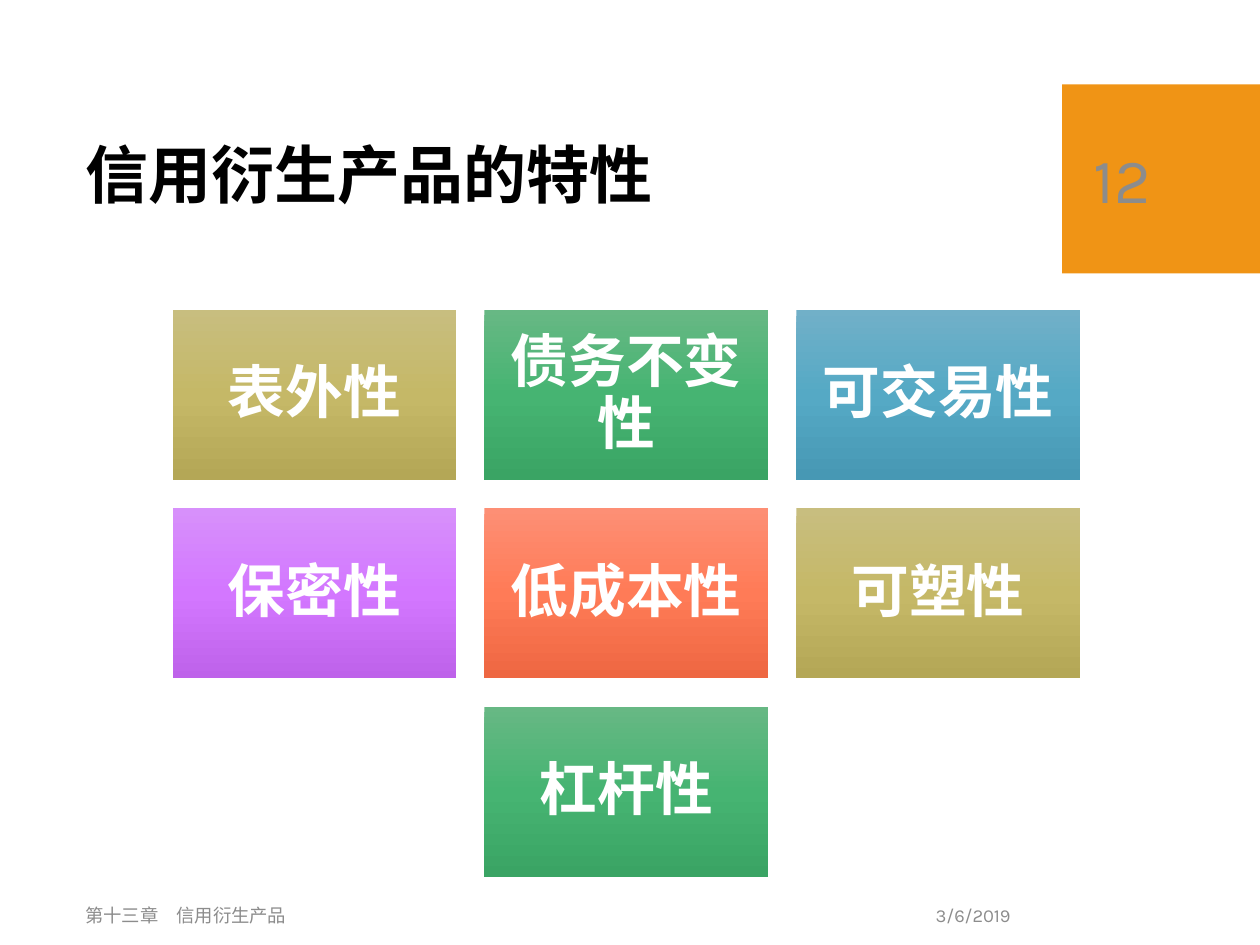
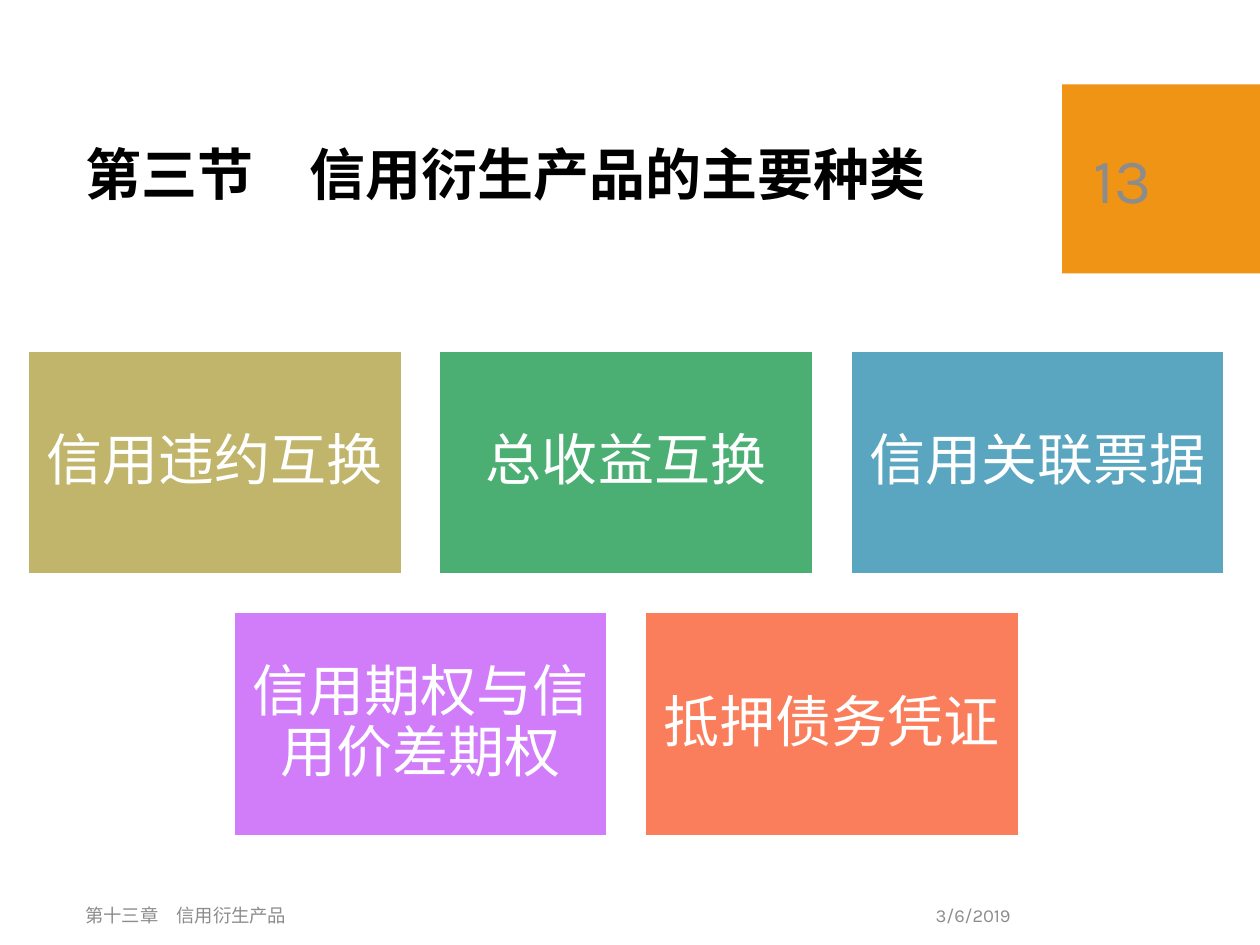
from copy import deepcopy
from pptx import Presentation
from pptx.dml.color import RGBColor
from pptx.enum import shapes, text
from pptx.oxml.ns import qn
from pptx.util import Inches, Pt

FONT = "Karla"
BLACK, WHITE, GREY, ORANGE = "000000", "FFFFFF", "8C8C8C", "F09415"
FOOTER = "第十三章　信用衍生产品"
DATE = "3/6/2019"
TITLE_BOX = (0.58, 0.82, 7.54, 1.18)
BAND_BOX = (8.43, 0.67, 1.57, 1.5)
NUMBER_BOX = (8.58, 0.82, 1.27, 1.19)
DATE_BOX = (5.87, 7.06, 2.25, 0.4)
FOOTER_BOX = (0.58, 7.06, 5.29, 0.4)
GRID_CENTRE = 4.97

GRADIENTS = [
    ("C8BE7F", "C5B867", "B4A756"),
    ("67B884", "46B472", "3AA464"),
    ("71B0C8", "55A9C5", "4798B4"),
    ("D790FB", "D377FF", "BE62EA"),
    ("FD8F75", "FF7B57", "EE6742"),
]
SOLIDS = [("C1B56B",), ("4BAF73",), ("5AA6C0",), ("D17DF9",), ("FA7E5C",)]

SLIDES = [
    {
        "title": "信用衍生产品的特性", "title_size": 36, "number": "12",
        "rows": [["表外性", "债务不变性", "可交易性"],
                 ["保密性", "低成本性", "可塑性"],
                 ["杠杆性"]],
        "fills": GRADIENTS, "line": None,
        "tile": (2.25, 1.35), "gap": 0.225, "top": 2.46, "inset": 0.14,
        "font": {"size": Pt(33), "bold": True},
    },
    {
        "title": "第三节　信用衍生产品的主要种类", "title_size": 32, "number": "13",
        "rows": [["信用违约互换", "总收益互换", "信用关联票据"],
                 ["信用期权与信用价差期权", "抵押债务凭证"]],
        "fills": SOLIDS, "line": WHITE,
        "tile": (2.97, 1.78), "gap": 0.295, "top": 2.78, "inset": 0.13,
        "font": {"size": Pt(32), "bold": False},
    },
]


def colour(value):
    return RGBColor.from_string(value)


def write(shape, words, ink, font, align=text.PP_ALIGN.LEFT, spacing=1.0, inset=None):
    frame = shape.text_frame
    frame.text = words
    frame_format = {"word_wrap": True, "auto_size": text.MSO_AUTO_SIZE.NONE,
                    "vertical_anchor": text.MSO_ANCHOR.MIDDLE}
    if inset is not None:
        for side in ("left", "top", "right", "bottom"):
            frame_format["margin_" + side] = Inches(inset)
    paragraph = frame.paragraphs[0]
    run = paragraph.runs[0]
    for target, values in (
        (frame, frame_format),
        (paragraph, {"alignment": align, "line_spacing": spacing}),
        (run.font, {"name": FONT, **font}),
    ):
        for name, value in values.items():
            setattr(target, name, value)
    run.font.color.rgb = colour(ink)


def paint(shape, colours):
    fill = shape.fill
    if len(colours) == 1:
        fill.solid()
        fill.fore_color.rgb = colour(colours[0])
        return
    fill.gradient()
    fill.gradient_angle = 270
    stop_list = shape._element.spPr.find(".//" + qn("a:gsLst"))
    stop_list.insert(1, deepcopy(stop_list[0]))
    for index, (stop, value) in enumerate(zip(fill.gradient_stops, colours)):
        stop.position = index / (len(colours) - 1)
        stop.color.rgb = colour(value)


def add_rectangle(slide, box, colours, line=None):
    shape = slide.shapes.add_shape(shapes.MSO_SHAPE.RECTANGLE, *map(Inches, box))
    shape.shadow.inherit = False
    paint(shape, colours)
    if line:
        shape.line.color.rgb = colour(line)
        shape.line.width = Pt(1.5)
    else:
        shape.line.fill.background()
    return shape


def add_label(slide, box, words, size, align=text.PP_ALIGN.LEFT):
    label = slide.shapes.add_textbox(*map(Inches, box))
    write(label, words, GREY, {"size": Pt(size)}, align)


def add_tiles(slide, content):
    width, height = content["tile"]
    gap = content["gap"]
    index = 0
    for row_index, row in enumerate(content["rows"]):
        row_width = len(row) * width + (len(row) - 1) * gap
        left = GRID_CENTRE - row_width / 2
        top = content["top"] + row_index * (height + gap)
        for column, words in enumerate(row):
            box = (left + column * (width + gap), top, width, height)
            fills = content["fills"]
            tile = add_rectangle(slide, box, fills[index % len(fills)], content["line"])
            write(tile, words, WHITE, content["font"], text.PP_ALIGN.CENTER, 0.9,
                  content["inset"])
            index += 1


def add_slide(presentation, content):
    slide = presentation.slides.add_slide(presentation.slide_layouts[5])
    add_rectangle(slide, BAND_BOX, (ORANGE,))
    title = slide.shapes.title
    for name, value in zip(("left", "top", "width", "height"), TITLE_BOX):
        setattr(title, name, Inches(value))
    write(title, content["title"], BLACK,
          {"size": Pt(content["title_size"]), "bold": True}, spacing=0.9)
    add_tiles(slide, content)
    add_label(slide, DATE_BOX, DATE, 10.5, text.PP_ALIGN.RIGHT)
    add_label(slide, FOOTER_BOX, FOOTER, 10.5)
    add_label(slide, NUMBER_BOX, content["number"], 36)


presentation = Presentation()
presentation.slide_width = Inches(10)
presentation.slide_height = Inches(7.5)
for content in SLIDES:
    add_slide(presentation, content)
presentation.save("out.pptx")
